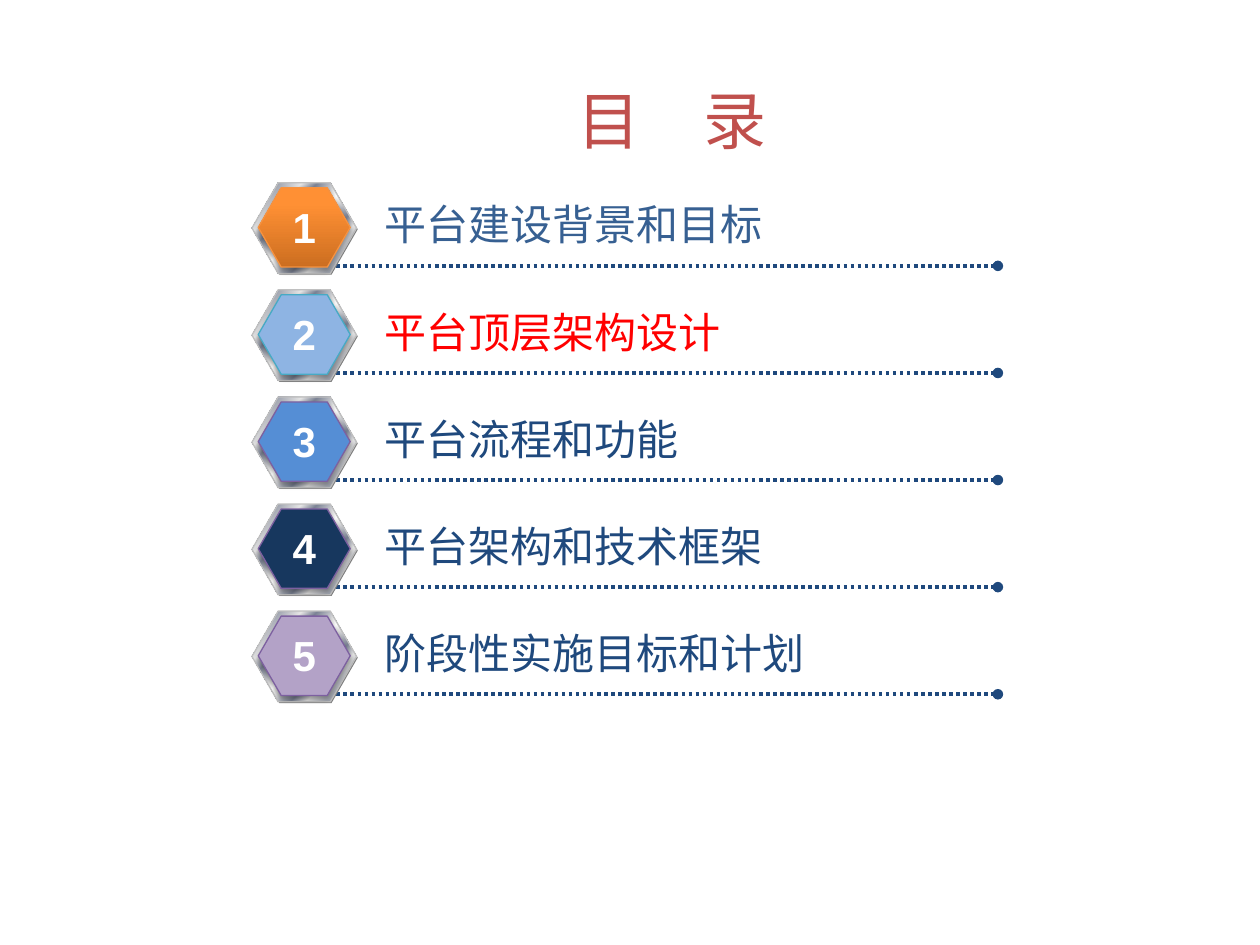
import lxml.etree
import pptx
import pptx.dml.color
import pptx.enum.dml
import pptx.enum.shapes
import pptx.enum.text
import pptx.oxml
import pptx.oxml.ns
import pptx.util

RGBColor = pptx.dml.color.RGBColor
PP_ALIGN = pptx.enum.text.PP_ALIGN
MSO_ANCHOR = pptx.enum.text.MSO_ANCHOR
MSO_AUTO_SIZE = pptx.enum.text.MSO_AUTO_SIZE
qn = pptx.oxml.ns.qn

SLIDE_WIDTH = pptx.util.Inches(10)
SLIDE_HEIGHT = pptx.util.Inches(7.5)
COLUMN = SLIDE_WIDTH / 200
ROW = SLIDE_HEIGHT / 150
ENTRY_PITCH = 17

WHITE = RGBColor(0xFF, 0xFF, 0xFF)
BLACK = RGBColor(0x00, 0x00, 0x00)
RED = RGBColor(0xFF, 0x00, 0x00)
BRICK = RGBColor(0xC0, 0x50, 0x4D)
NAVY = RGBColor(0x1F, 0x49, 0x7D)
MID_BLUE = RGBColor(0x37, 0x60, 0x92)
GRAY = RGBColor(0x80, 0x80, 0x80)
SILVER = RGBColor(0xC0, 0xC0, 0xC0)
LIGHT_STEEL = RGBColor(0xE6, 0xE6, 0xE6)
DARK_STEEL = RGBColor(0x7D, 0x84, 0x96)
ORANGE_EDGE = RGBColor(0xF6, 0x92, 0x40)
TEAL = RGBColor(0x46, 0xAA, 0xC5)
PURPLE = RGBColor(0x7D, 0x60, 0xA0)
SKY = RGBColor(0x8E, 0xB4, 0xE3)
BLUE = RGBColor(0x55, 0x8E, 0xD5)
DEEP_BLUE = RGBColor(0x17, 0x37, 0x5E)
LILAC = RGBColor(0xB3, 0xA2, 0xC7)

STEEL_STOPS = [
    (0, LIGHT_STEEL), (8, DARK_STEEL), (26, LIGHT_STEEL), (34, DARK_STEEL),
    (46, LIGHT_STEEL), (50, WHITE), (54, LIGHT_STEEL), (66, DARK_STEEL),
    (74, LIGHT_STEEL), (92, DARK_STEEL), (100, LIGHT_STEEL),
]
ORANGE_STOPS = [
    (0, RGBColor(0xCC, 0x6E, 0x20)),
    (80, RGBColor(0xFF, 0x90, 0x34)),
    (100, RGBColor(0xFF, 0x91, 0x36)),
]
ENTRIES = [
    ("平台建设背景和目标", MID_BLUE, ORANGE_STOPS, ORANGE_EDGE),
    ("平台顶层架构设计", RED, SKY, TEAL),
    ("平台流程和功能", NAVY, BLUE, PURPLE),
    ("平台架构和技术框架", NAVY, DEEP_BLUE, PURPLE),
    ("阶段性实施目标和计划", NAVY, LILAC, PURPLE),
]


def area(left, top, width, height):
    return [round(length) for length in
            (left * COLUMN, top * ROW, width * COLUMN, height * ROW)]


def add_element(parent, tag, **attributes):
    element = lxml.etree.SubElement(parent, qn(tag))
    for name, value in attributes.items():
        element.set(name, str(value))
    return element


def write_text(shape, text, size=24, font="Arial", color=NAVY, bold=False,
               align=PP_ALIGN.LEFT, wrap=True):
    frame = shape.text_frame
    frame.word_wrap = wrap
    frame.auto_size = MSO_AUTO_SIZE.SHAPE_TO_FIT_TEXT
    frame.vertical_anchor = MSO_ANCHOR.TOP
    paragraph = frame.paragraphs[0]
    paragraph.alignment = align
    run = paragraph.add_run()
    run.text = text
    run.font.size = pptx.util.Pt(size)
    run.font.name = font
    run.font.bold = bold
    run.font.color.rgb = color


def fill_gradient(shape, stops, angle):
    shape.fill.gradient()
    shape.fill.gradient_angle = angle
    stop_list = next(shape.element.spPr.iter(qn("a:gsLst")))
    for stop in list(stop_list):
        stop_list.remove(stop)
    for position, color in stops:
        stop = add_element(stop_list, "a:gs", pos=position * 1000)
        add_element(stop, "a:srgbClr", val=color)


def add_hexagon(shapes, box, fill, line=None, angle=90):
    shape = shapes.add_shape(pptx.enum.shapes.MSO_SHAPE.HEXAGON, *area(*box))
    shape.shadow.inherit = False
    shape.adjustments[0] = 0.289
    shape.adjustments[1] = 1.155
    if isinstance(fill, list):
        fill_gradient(shape, fill, angle)
    else:
        shape.fill.solid()
        shape.fill.fore_color.rgb = fill
    if line is None:
        shape.line.fill.background()
    else:
        shape.line.color.rgb = line
        shape.line.width = pptx.util.Pt(0.75)
    return shape


def add_soft_shadow(shape):
    effects = shape.element.spPr.find(qn("a:effectLst"))
    shadow = add_element(
        effects, "a:outerShdw", blurRad=pptx.util.Pt(3.1), dist=pptx.util.Pt(1.8),
        dir=90 * 60000, rotWithShape=0)
    color = add_element(shadow, "a:srgbClr", val=BLACK)
    add_element(color, "a:alpha", val=35000)


def add_dotted_line(shapes, left, top, width):
    start_x, start_y, length, _ = area(left, top, width, 0)
    connector = shapes.add_connector(
        pptx.enum.shapes.MSO_CONNECTOR.STRAIGHT,
        start_x, start_y, start_x + length, start_y)
    connector.line.color.rgb = NAVY
    connector.line.width = pptx.util.Pt(2)
    connector.line.dash_style = pptx.enum.dml.MSO_LINE.ROUND_DOT
    add_element(connector.line._get_or_add_ln(), "a:tailEnd", type="oval")
    add_element(connector.element.spPr, "a:effectLst")


def add_badge(shapes, left, top, number, fill, line):
    add_hexagon(shapes, (left + 0.2, top + 0.2, 16.6, 14.4), GRAY)
    add_hexagon(shapes, (left, top, 16.6, 14.4), STEEL_STOPS, SILVER, angle=315)
    add_soft_shadow(add_hexagon(
        shapes, (left + 1, top + 0.8, 14.6, 12.6), fill, line))
    label = shapes.add_textbox(*area(left + 4.4, top + 2, 7.8, 10))
    write_text(label, str(number), color=WHITE, bold=True,
               align=PP_ALIGN.CENTER, wrap=False)


def add_entry(slide, left, top, number, text, color, fill, line):
    shapes = slide.shapes.add_group_shape().shapes
    add_dotted_line(shapes, left + 13.4, top + 13.2, 105)
    add_badge(shapes, left, top, number, fill, line)
    caption = shapes.add_textbox(*area(left + 19, top + 1.6, 97.6, 10.2))
    write_text(caption, text, color=color)


def add_title(slide, left, top, width, height):
    title = slide.shapes.title
    title.left, title.top, title.width, title.height = area(left, top, width, height)
    write_text(title, "目　录", size=36, font="Lato", color=BRICK,
               align=PP_ALIGN.CENTER)


def add_contents(slide, left, top):
    for index, entry in enumerate(ENTRIES):
        add_entry(slide, left, top + index * ENTRY_PITCH, index + 1, *entry)


def main():
    presentation = pptx.Presentation()
    presentation.slide_width = SLIDE_WIDTH
    presentation.slide_height = SLIDE_HEIGHT
    slide = presentation.slides.add_slide(presentation.slide_layouts[5])
    add_title(slide, 80.2, 12, 52.8, 14.2)
    add_contents(slide, 40, 29)
    presentation.save("out.pptx")


if __name__ == "__main__":
    main()
